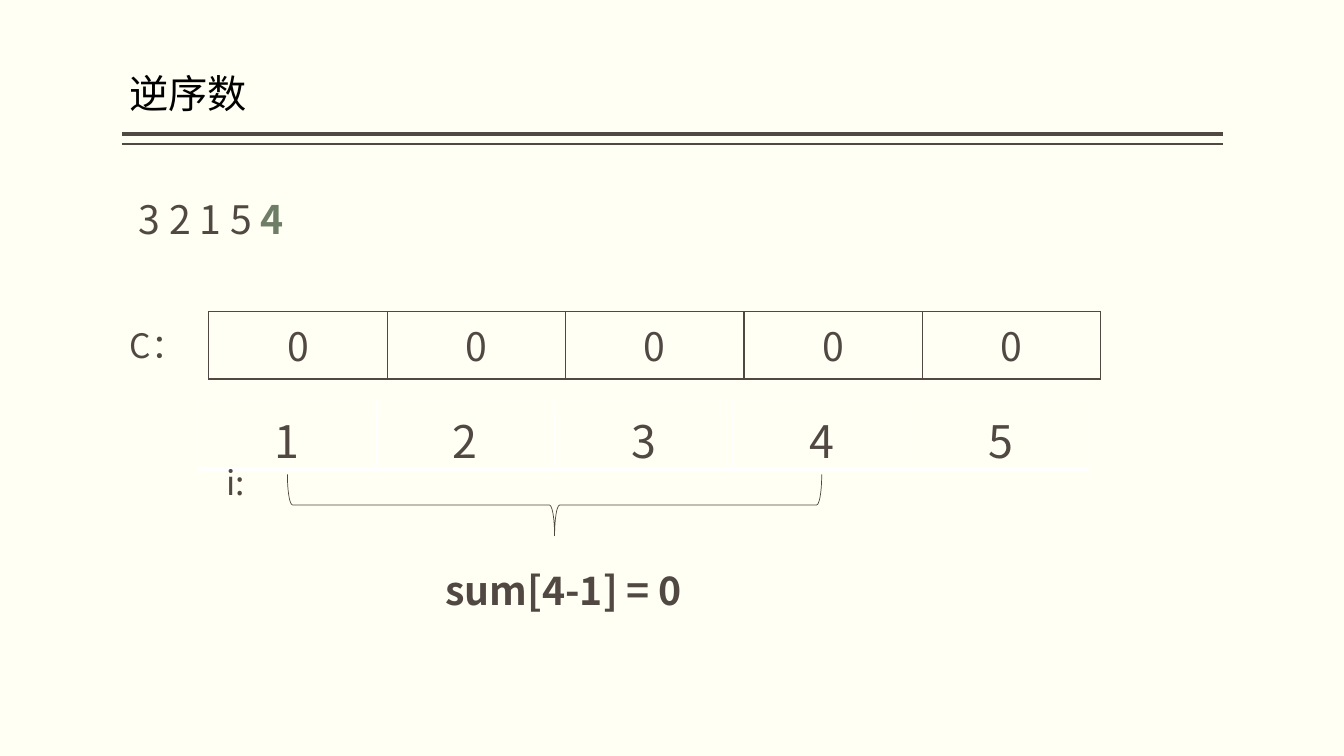
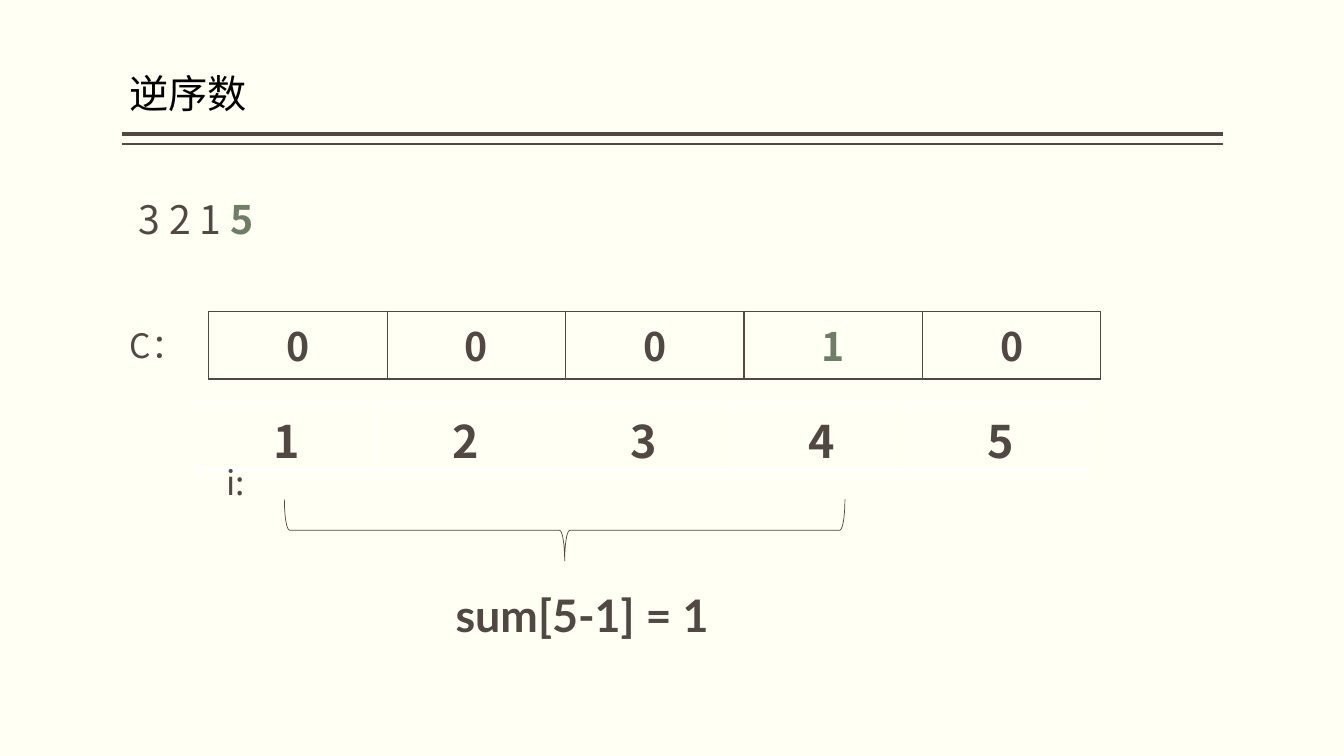
from lxml.etree import SubElement
from pptx import Presentation
from pptx.dml.color import RGBColor
from pptx.enum.shapes import MSO_CONNECTOR, MSO_SHAPE
from pptx.enum.text import MSO_ANCHOR, PP_ALIGN
from pptx.oxml.ns import qn
from pptx.util import Inches, Pt

INK, ACCENT, PAPER = "514843", "6D7D66", "FFFFF3"
BLACK, WHITE, BRACE_LINE = "000000", "FFFFFF", "504641"
CJK, LATO = "Noto Sans CJK SC", "Lato"

TITLE = "逆序数"
RULES = [(1.33, 3), (1.43, 1)]
LABELS = [("C：", (1.19, 3.17, 1, 0.5)), ("i:", (2.15, 4.53, 0.83, 0.5))]
INDICES = "12345"
COLUMN_WIDTH, ROW_HEIGHT = 1.77, 0.67
BRACE_DEPTH = 0.61
VALUE_BORDERS = {"L": (INK, 1), "R": (INK, 1), "T": (INK, 1), "B": (INK, 1)}
INDEX_BORDERS = {"L": (WHITE, 1), "R": (WHITE, 1), "T": (WHITE, 1), "B": (WHITE, 3)}

STEPS = [
    dict(remaining="3 2 1 5 ", current="4", counts="00000", changed=None, bold=False,
         brace=(5.5, 5.01, 5.3),
         total="sum[4-1] = 0", total_box=(3.92, 5.57, 3.34, 0.57), total_font=(28, CJK)),
    dict(remaining="3 2 1 ", current="5", counts="00010", changed=3, bold=True,
         brace=(5.6, 5.26, 5.56),
         total="sum[5-1] = 1", total_box=(3.96, 5.78, 3.63, 0.64), total_font=(32, LATO)),
]


def rgb(value):
    return RGBColor.from_string(value)


def add_run(paragraph, text, size, color=INK, bold=False, face=CJK):
    run = paragraph.add_run()
    run.text = text
    font = run.font
    font.size, font.bold, font.name = Pt(size), bold, face
    font.color.rgb = rgb(color)
    SubElement(run._r.get_or_add_rPr(), qn("a:ea"), typeface=face)


def add_text(slide, box, align=PP_ALIGN.LEFT):
    frame = slide.shapes.add_textbox(*map(Inches, box)).text_frame
    frame.word_wrap = True
    frame.paragraphs[0].alignment = align
    return frame


def add_title(slide):
    frame = add_text(slide, (1.28, 0.59, 9.83, 0.62))
    frame.margin_left = frame.margin_right = 0
    frame.vertical_anchor = MSO_ANCHOR.BOTTOM
    heading = frame.paragraphs[0]
    heading.line_spacing = 0.9
    add_run(heading, TITLE, 28, BLACK)


def add_rule(slide, y, weight):
    rule = slide.shapes.add_connector(
        MSO_CONNECTOR.STRAIGHT, Inches(1.21), Inches(y), Inches(12.13), Inches(y))
    rule.line.color.rgb = rgb(INK)
    rule.line.width = Pt(weight)
    SubElement(rule._element.spPr, qn("a:effectLst"))


def set_borders(cell, borders):
    properties = cell._tc.get_or_add_tcPr()
    for side, (color, weight) in borders.items():
        edge = SubElement(properties, qn("a:ln" + side), w=str(Pt(weight)))
        SubElement(SubElement(edge, qn("a:solidFill")), qn("a:srgbClr"), val=color)


def add_row(slide, left, top, entries, size, bold, borders, changed=None):
    table = slide.shapes.add_table(
        1, len(entries), Inches(left), Inches(top),
        Inches(COLUMN_WIDTH * len(entries)), Inches(ROW_HEIGHT)).table
    table.first_row = table.horz_banding = False
    for column, entry in enumerate(entries):
        table.columns[column].width = Inches(COLUMN_WIDTH)
        cell = table.cell(0, column)
        set_borders(cell, borders)
        cell.fill.background()
        paragraph = cell.text_frame.paragraphs[0]
        paragraph.alignment = PP_ALIGN.CENTER
        add_run(paragraph, entry, size, ACCENT if column == changed else INK, bold)


def add_brace(slide, center_x, center_y, span):
    brace = slide.shapes.add_shape(
        MSO_SHAPE.RIGHT_BRACE,
        Inches(center_x - BRACE_DEPTH / 2), Inches(center_y - span / 2),
        Inches(BRACE_DEPTH), Inches(span))
    brace.rotation = 90
    brace.shadow.inherit = False
    brace.fill.background()
    brace.line.color.rgb = rgb(BRACE_LINE)
    brace.line.width = Pt(0.5)


def add_step(deck, step):
    slide = deck.slides.add_slide(deck.slide_layouts[6])
    for y, weight in RULES:
        add_rule(slide, y, weight)
    add_title(slide)
    add_row(slide, 2.07, 3.09, step["counts"], 28, step["bold"], VALUE_BORDERS, step["changed"])
    add_row(slide, 1.96, 3.98, INDICES, 32, step["bold"], INDEX_BORDERS)

    sequence = add_text(slide, (1.28, 1.89, 8.99, 0.57)).paragraphs[0]
    add_run(sequence, step["remaining"], 28)
    add_run(sequence, step["current"], 28, ACCENT, True)
    for label, box in LABELS:
        add_run(add_text(slide, box).paragraphs[0], label, 24)

    add_brace(slide, *step["brace"])
    total_size, total_face = step["total_font"]
    total = add_text(slide, step["total_box"], PP_ALIGN.CENTER).paragraphs[0]
    add_run(total, step["total"], total_size, bold=True, face=total_face)


def main():
    deck = Presentation()
    deck.slide_width, deck.slide_height = Inches(13.33), Inches(7.5)
    paper = deck.slide_master.background.fill
    paper.solid()
    paper.fore_color.rgb = rgb(PAPER)
    for step in STEPS:
        add_step(deck, step)
    deck.save("out.pptx")


if __name__ == "__main__":
    main()
